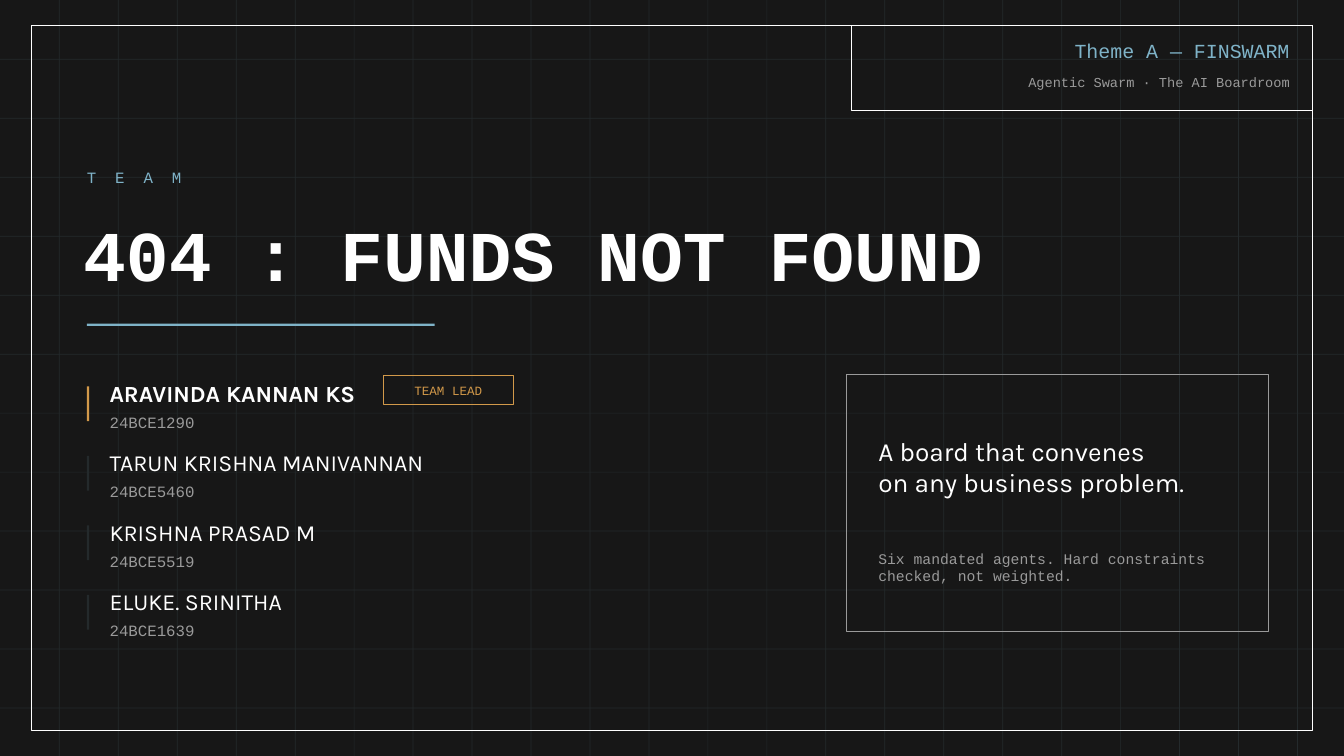
from pptx import Presentation
from pptx.dml.color import RGBColor
from pptx.enum.shapes import MSO_SHAPE
from pptx.enum.text import MSO_ANCHOR, MSO_AUTO_SIZE, PP_ALIGN
from pptx.util import Pt

PX = 9144
WIDE, HIGH = 1778, 1000
RECT = MSO_SHAPE.RECTANGLE
LEFT, MID, RIGHT = PP_ALIGN.LEFT, PP_ALIGN.CENTER, PP_ALIGN.RIGHT
FRAME = {
    "word_wrap": True,
    "auto_size": MSO_AUTO_SIZE.SHAPE_TO_FIT_TEXT,
    "vertical_anchor": MSO_ANCHOR.MIDDLE,
    "margin_left": 0,
    "margin_top": 0,
    "margin_right": 0,
    "margin_bottom": 0,
}
MONO, SANS = "Courier New", "Karla"
DARK, GRID, WHITE = "171717", "242A2C", "FFFFFF"
BLUE, GOLD, GRAY = "7FB3C8", "D2994A", "9A9A9A"

TEAM = [
    ("ARAVINDA KANNAN KS", "24BCE1290"),
    ("TARUN KRISHNA MANIVANNAN", "24BCE5460"),
    ("KRISHNA PRASAD M", "24BCE5519"),
    ("ELUKE. SRINITHA", "24BCE1639"),
]


def paint(color, tint):
    color.rgb = RGBColor.from_string(tint)


def emu(*box):
    return [n * PX for n in box]


def style(item, values):
    for name, value in values.items():
        setattr(item, name, value)


def block(slide, box, fill=None, line=None, width=1):
    shape = slide.shapes.add_shape(RECT, *emu(*box))
    shape.shadow.inherit = False
    if fill:
        shape.fill.solid()
        paint(shape.fill.fore_color, fill)
    else:
        shape.fill.background()
    if line:
        paint(shape.line.color, line)
        shape.line.width = Pt(width)
    else:
        shape.line.fill.background()
    return shape


def write(shape, text, size, face, tint, align=LEFT, bold=False):
    frame = shape.text_frame
    style(frame, FRAME)
    frame.text = text
    for para in frame.paragraphs:
        para.alignment = align
        style(para.font, {"size": Pt(size), "name": face, "bold": bold})
        paint(para.font.color, tint)


def label(slide, box, *args, **opts):
    write(slide.shapes.add_textbox(*emu(*box)), *args, **opts)


def backdrop(slide, box, step=78):
    x, y, w, h = box
    block(slide, box, fill=DARK)
    for dx in range(step, w, step):
        block(slide, (x + dx, y, 1, h), fill=GRID)
    for dy in range(step, h, step):
        block(slide, (x, y + dy, w, 1), fill=GRID)
    block(slide, (x + 42, y + 34, w - 84, h - 68), line=WHITE, width=1.1)


def header(slide, box):
    x, y, w, h = box
    block(slide, box, line=WHITE, width=1.1)
    label(slide, (x + 30, y + 13, w - 60, 40), "Theme A — FINSWARM",
          19, MONO, BLUE, align=RIGHT)
    label(slide, (x + 30, y + 58, w - 60, 34),
          "Agentic Swarm · The AI Boardroom", 13, MONO, GRAY, align=RIGHT)


def title(slide, box):
    x, y, w, h = box
    label(slide, (x + 5, y, 800, 40), "T  E  A  M", 15, MONO, BLUE)
    label(slide, (x, y + 45, w, 150), "404 : FUNDS NOT FOUND",
          68, MONO, WHITE, bold=True)
    block(slide, (x + 5, y + h - 3, 460, 3), fill=BLUE)


def member(slide, box, name, code, lead):
    x, y, w, h = box
    block(slide, (x, y + 16, 3, 46), fill=GOLD if lead else GRID)
    label(slide, (x + 30, y, w - 30, 50), name, 22, SANS, WHITE, bold=lead)
    label(slide, (x + 30, y + 46, w - 30, 34), code, 15, MONO, GRAY)
    if lead:
        badge = block(slide, (x + 392, y + 2, 172, 38), line=GOLD)
        write(badge, "TEAM LEAD", 12, MONO, GOLD, align=MID)


def roster(slide, box):
    x, y, w, h = box
    row = h // len(TEAM)
    for i, (name, code) in enumerate(TEAM):
        member(slide, (x, y + i * row, w, row), name, code, i == 0)


def pitch(slide, box):
    x, y, w, h = box
    block(slide, box, line=GRAY, width=0.9)
    label(slide, (x + 42, y + 47, w - 85, 150),
          "A board that convenes\non any business problem.", 25, SANS, WHITE)
    label(slide, (x + 42, y + 210, w - 85, 90),
          "Six mandated agents. Hard constraints\nchecked, not weighted.",
          14, MONO, GRAY)


def main():
    deck = Presentation()
    deck.slide_width, deck.slide_height = emu(WIDE, HIGH)
    slide = deck.slides.add_slide(deck.slide_layouts[6])
    backdrop(slide, (0, 0, WIDE, HIGH))
    header(slide, (1126, 34, 610, 112))
    title(slide, (110, 215, 1558, 216))
    roster(slide, (115, 495, 890, 368))
    pitch(slide, (1120, 495, 558, 340))
    deck.save("out.pptx")


if __name__ == "__main__":
    main()
